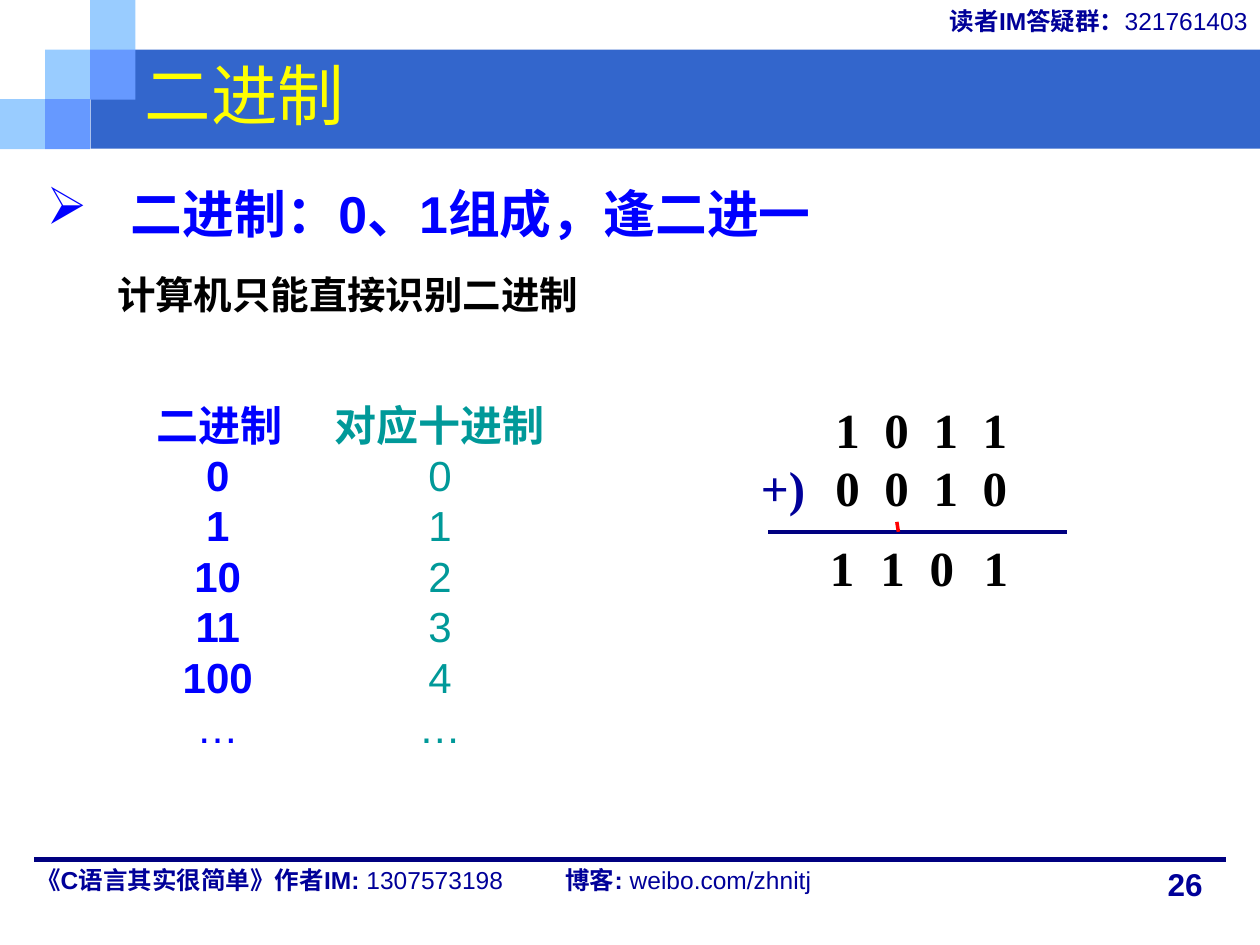
from dataclasses import dataclass
from lxml.etree import SubElement
from pptx import Presentation
from pptx.dml.color import RGBColor as Rgb
from pptx.enum.shapes import MSO_CONNECTOR as Connector, MSO_SHAPE as Shape
from pptx.enum.text import MSO_ANCHOR as Anchor, PP_ALIGN as Align
from pptx.oxml.ns import qn
from pptx.slide import Slide
from pptx.util import Cm, Pt

COLORS = {
    "band": "3366CC", "sky": "99CCFF", "violet": "6699FF", "navy": "000099",
    "rule": "000080", "blue": "0000FF", "teal": "009999", "black": "000000",
    "yellow": "FFFF00", "red": "FF0000",
}
SERIF = "Times New Roman"
CHINESE = "Noto Sans CJK SC"


@dataclass
class SlideWriter:
    """Draws styled elements on the current slide."""
    page: Slide
    font: str = "Arial"

    def color(self, name):
        return Rgb.from_string(COLORS[name])

    def block(self, left, top, width, height, color):
        box = self.page.shapes.add_shape(
            Shape.RECTANGLE, Cm(left), Cm(top), Cm(width), Cm(height))
        box.shadow.inherit = False
        box.fill.solid()
        box.fill.fore_color.rgb = self.color(color)
        box.line.fill.background()

    def line(self, start, end, color, width):
        rule = self.page.shapes.add_connector(
            Connector.STRAIGHT, *map(Cm, start + end))
        rule.line.color.rgb = self.color(color)
        rule.line.width = Pt(width)
        SubElement(rule.element.spPr, qn("a:effectLst"))

    def tabs(self, para, stops):
        tab_list = SubElement(para._p.get_or_add_pPr(), qn("a:tabLst"))
        for position, kind in stops:
            SubElement(tab_list, qn("a:tab"), pos=str(Cm(position)), algn=kind)

    def bullet(self, para, symbol, color, indent):
        props = para._p.get_or_add_pPr()
        props.set("marL", str(Cm(indent)))
        props.set("indent", str(-Cm(indent)))
        fill = SubElement(props, qn("a:buClr"))
        SubElement(fill, qn("a:srgbClr"), val=COLORS[color])
        SubElement(props, qn("a:buChar"), char=symbol)

    def text(self, at, rows, size, font=None, align=Align.LEFT, stops=(),
             anchor=Anchor.TOP, bullet=None, spacing=None, tight=False):
        box = self.page.shapes.add_textbox(*map(Cm, at))
        frame = box.text_frame
        frame.word_wrap = True
        frame.vertical_anchor = anchor
        if tight:
            frame.margin_right = frame.margin_bottom = 0
        for index, spans in enumerate(rows):
            para = frame.add_paragraph() if index else frame.paragraphs[0]
            para.alignment = align
            if spacing:
                para.line_spacing = spacing
            if bullet:
                self.bullet(para, *bullet)
            if stops:
                self.tabs(para, stops)
            for words, color, bold in spans:
                span = para.add_run()
                span.text = words
                span.font.name = font or self.font
                span.font.size = Pt(size)
                span.font.bold = bold
                span.font.color.rgb = self.color(color)
                SubElement(span.font._element, qn("a:ea"), typeface=CHINESE)


def draw_frame(writer):
    writer.block(1.83, 1, 23.57, 2, "band")
    side = 0.91
    for column, top, color in [(0, 2, "sky"), (1, 1, "sky"), (2, 0, "sky"),
                               (2, 1, "violet"), (1, 2, "violet")]:
        writer.block(column * side, top, side, 1.01, color)
    writer.text((23.29, 17.32, 1.4, 1.02), [[("26", "navy", True)]], 18)
    writer.line((0.69, 17.32), (24.71, 17.32), "rule", 3)
    writer.text((0.48, 17.32, 19.41, 1.19), [[
        ("《C语言其实很简单》作者IM: ", "navy", True),
        ("1307573198\t", "navy", False),
        ("博客: ", "navy", True),
        ("weibo.com/zhnitj", "navy", False),
    ]], 14, stops=[(10.67, "l")])
    writer.text((10.8, 0, 14.6, 0.91), [[
        ("读者IM答疑群：", "navy", True), ("321761403", "navy", False),
    ]], 14, align=Align.RIGHT)


def draw_addition(writer):
    style = {"size": 28, "font": SERIF, "tight": True}
    for left, width, digit, stop in [(17.09, 4.01, "1", 2.49), (16.51, 3.2, "0", 1.98),
                                     (17.5, 1.4, "1", 0), (15.49, 2.01, "1", 0.99)]:
        words = f"\t{digit}" if stop else digit
        writer.text((left, 10.72, width, 0.99), [[(words, "black", True)]],
                    stops=[(stop, "l")] if stop else (), **style)
    writer.text((15.09, 7.92, 7.59, 2.59), [
        [("\t1\t0\t1\t1", "black", True)],
        [("+)\t", "navy", True), ("0\t0\t1\t0", "black", True)],
    ], stops=[(1.5 + 0.99 * step, "l") for step in range(4)], **style)
    writer.line((15.49, 10.72), (21.51, 10.72), "rule", 2)
    writer.line((18.08, 10.52), (18.11, 10.72), "red", 2)


def draw_comparison(writer):
    pairs = [("二进制", "对应十进制"), ("0", "0"), ("1", "1"), ("10", "2"),
             ("11", "3"), ("100", "4"), ("…", "…")]
    rows = [[(f"\t{binary}\t", "blue", binary != "…"),
             (decimal, "teal", decimal == "对应十进制")] for binary, decimal in pairs]
    writer.text((2.9, 7.92, 9.6, 7.37), rows, 24,
                stops=[(1.24, "ctr"), (5.72, "ctr")])


def main():
    deck = Presentation()
    deck.slide_width, deck.slide_height = Cm(25.4), Cm(19.05)
    writer = SlideWriter(deck.slides.add_slide(deck.slide_layouts[6]))
    draw_frame(writer)
    draw_addition(writer)
    writer.text((2.67, 0.71, 22.23, 2.36), [[("二进制", "yellow", False)]], 38,
                anchor=Anchor.MIDDLE)
    draw_comparison(writer)
    writer.text((2.11, 5.33, 11.46, 1.19),
                [[("计算机只能直接识别二进制", "black", True)]], 22, font=CHINESE)
    writer.text((0.69, 3.53, 21.01, 1.6),
                [[("二进制：0、1组成，逢二进一", "blue", True)]], 29.6,
                bullet=("➢", "blue", 1.7))
    deck.save("out.pptx")


if __name__ == "__main__":
    main()
